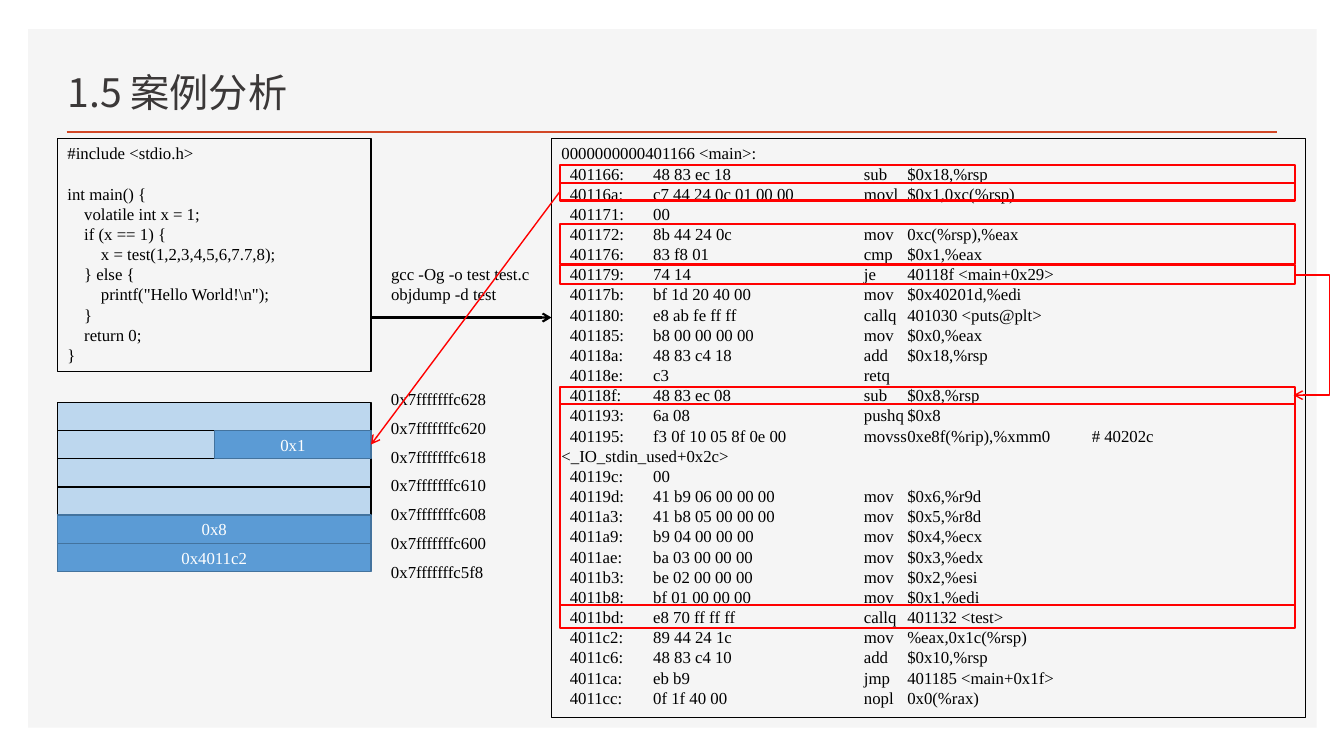
import pptx
import pptx.util
from lxml import etree
from pptx.dml.color import RGBColor
from pptx.enum.shapes import MSO_CONNECTOR, MSO_SHAPE
from pptx.enum.text import MSO_ANCHOR, MSO_AUTO_SIZE, PP_ALIGN
from pptx.oxml.ns import qn
from pptx.util import Inches, Pt

THEME = {
    "panel": "F5F5F5", "rule": "D24726", "title": "3B3838", "ink": "000000",
    "free": "BDD7EE", "used": "5B9BD5", "used_edge": "43739E",
    "white": "FFFFFF", "mark": "FF0000",
    "title_font": "Noto Sans CJK SC", "code_font": "Times New Roman",
    "title_size": 28, "code_size": 12, "code_pitch": 14.4,
}

C_SOURCE = r"""#include <stdio.h>

int main() {
    volatile int x = 1;
    if (x == 1) {
        x = test(1,2,3,4,5,6,7.7,8);
    } else {
        printf("Hello World!\n");
    }
    return 0;
}"""

# address, bytes, mnemonic, operands, comment
ASSEMBLY = [
    ("0000000000401166 <main>:",),
    ("  401166:", "48 83 ec 18", "sub", "$0x18,%rsp"),
    ("  40116a:", "c7 44 24 0c 01 00 00", "movl", "$0x1,0xc(%rsp)"),
    ("  401171:", "00"),
    ("  401172:", "8b 44 24 0c", "mov", "0xc(%rsp),%eax"),
    ("  401176:", "83 f8 01", "cmp", "$0x1,%eax"),
    ("  401179:", "74 14", "je", "40118f <main+0x29>"),
    ("  40117b:", "bf 1d 20 40 00", "mov", "$0x40201d,%edi"),
    ("  401180:", "e8 ab fe ff ff", "callq", "401030 <puts@plt>"),
    ("  401185:", "b8 00 00 00 00", "mov", "$0x0,%eax"),
    ("  40118a:", "48 83 c4 18", "add", "$0x18,%rsp"),
    ("  40118e:", "c3", "retq"),
    ("  40118f:", "48 83 ec 08", "sub", "$0x8,%rsp"),
    ("  401193:", "6a 08", "pushq", "$0x8"),
    ("  401195:", "f3 0f 10 05 8f 0e 00", "movss", "0xe8f(%rip),%xmm0",
     "# 40202c <_IO_stdin_used+0x2c>"),
    ("  40119c:", "00"),
    ("  40119d:", "41 b9 06 00 00 00", "mov", "$0x6,%r9d"),
    ("  4011a3:", "41 b8 05 00 00 00", "mov", "$0x5,%r8d"),
    ("  4011a9:", "b9 04 00 00 00", "mov", "$0x4,%ecx"),
    ("  4011ae:", "ba 03 00 00 00", "mov", "$0x3,%edx"),
    ("  4011b3:", "be 02 00 00 00", "mov", "$0x2,%esi"),
    ("  4011b8:", "bf 01 00 00 00", "mov", "$0x1,%edi"),
    ("  4011bd:", "e8 70 ff ff ff", "callq", "401132 <test>"),
    ("  4011c2:", "89 44 24 1c", "mov", "%eax,0x1c(%rsp)"),
    ("  4011c6:", "48 83 c4 10", "add", "$0x10,%rsp"),
    ("  4011ca:", "eb b9", "jmp", "401185 <main+0x1f>"),
    ("  4011cc:", "0f 1f 40 00", "nopl", "0x0(%rax)"),
]
ASSEMBLY_TABS = [0.91, 3.0, 3.43, 5.26]


def add_box(box, text="", fill=None, edge=None, width=0.75, color="ink",
            align=PP_ALIGN.LEFT, anchor=MSO_ANCHOR.TOP, tabs=()):
    """Add a rectangle; a blank line in text becomes space before the next one."""
    sp = s.shapes.add_shape(MSO_SHAPE.RECTANGLE, *map(Inches, box))
    sp.shadow.inherit = False
    if fill:
        sp.fill.solid()
        sp.fill.fore_color.rgb = RGBColor.from_string(THEME[fill])
    else:
        sp.fill.background()
    if edge:
        sp.line.color.rgb = RGBColor.from_string(THEME[edge])
        sp.line.width = Pt(width)
    else:
        sp.line.fill.background()
    tf = sp.text_frame
    frame_format = {"word_wrap": True, "auto_size": MSO_AUTO_SIZE.NONE,
                    "vertical_anchor": anchor}
    for name, value in frame_format.items():
        setattr(tf, name, value)
    p, gap = tf.paragraphs[0], 0
    for i, line in enumerate(text.split("\n") if text else []):
        if not line:
            gap += THEME["code_pitch"]
            continue
        if i:
            p = tf.add_paragraph()
        p.alignment = align
        p.line_spacing = Pt(THEME["code_pitch"])
        if gap:
            p.space_before = Pt(gap)
            gap = 0
        if tabs:
            tab_list = etree.SubElement(p._p.get_or_add_pPr(), qn("a:tabLst"))
            for pos in tabs:
                etree.SubElement(tab_list, qn("a:tab"), pos=str(Inches(pos)), algn="l")
        r = p.add_run()
        r.text = line
        r.font.name = THEME["code_font"]
        r.font.size = Pt(THEME["code_size"])
        r.font.color.rgb = RGBColor.from_string(THEME[color])
    return sp


def add_line(start, end, color, width, arrow=True, kind=MSO_CONNECTOR.STRAIGHT):
    cx = s.shapes.add_connector(kind, *map(Inches, start + end))
    cx.line.color.rgb = RGBColor.from_string(THEME[color])
    cx.line.width = Pt(width)
    if arrow:
        etree.SubElement(cx.line._get_or_add_ln(), qn("a:tailEnd"), type="arrow")
    etree.SubElement(cx._element.spPr, qn("a:effectLst"))
    return cx


prs = pptx.Presentation()
prs.slide_width, prs.slide_height = Inches(13.33), Inches(7.5)
s = prs.slides.add_slide(prs.slide_layouts[5])

# Title on its panel
title = s.shapes.title
panel = add_box((0.28, 0.29, 12.78, 6.93), fill="panel")
title._element.addprevious(panel._element)
placement = {"left": 0.57, "top": 0.49, "width": 7.52, "height": 0.7}
for name, value in placement.items():
    setattr(title, name, Inches(value))
tf = title.text_frame
tf.vertical_anchor = MSO_ANCHOR.BOTTOM
p = tf.paragraphs[0]
p.alignment = PP_ALIGN.LEFT
r = p.add_run()
r.text = "1.5 案例分析"
r.font.name = THEME["title_font"]
r.font.size = Pt(THEME["title_size"])
r.font.color.rgb = RGBColor.from_string(THEME["title"])
etree.SubElement(r.font._element, qn("a:ea"), typeface=THEME["title_font"])
add_line((0.66, 1.31), (12.67, 1.31), "rule", 2, arrow=False)

# Source, build commands and disassembly
add_box((0.57, 1.37, 3.11, 2.32), C_SOURCE, edge="ink")
add_box((5.47, 1.37, 7.48, 5.75), "\n".join(map("\t".join, ASSEMBLY)),
        edge="ink", tabs=ASSEMBLY_TABS)
add_box((3.78, 2.57, 1.65, 0.5), "gcc -Og -o test test.c\nobjdump -d test")
add_line((3.68, 3.15), (5.47, 3.15), "ink", 1.5)

# Stack frame with the addresses of its cell edges
used = {"fill": "used", "edge": "used_edge", "width": 1, "color": "white",
        "align": PP_ALIGN.CENTER, "anchor": MSO_ANCHOR.MIDDLE}
free = {"fill": "free", "edge": "ink", "width": 1}
for i, value in enumerate(["", "", "", "", "0x8", "0x4011c2"]):
    add_box((0.57, 3.99 + 0.28 * i, 3.11, 0.28), value, **(used if value else free))
x_cell = add_box((2.13, 4.27, 1.55, 0.28), "0x1", **used)
for i, low in enumerate(["628", "620", "618", "610", "608", "600", "5f8"]):
    add_box((3.78, 3.81 + 0.57 * i / 2, 1.16, 0.3), "0x7fffffffc" + low)

# Highlighted instructions: top and height
highlights = {"prologue": (1.64, 0.18), "store x": (1.82, 0.17), "compare": (2.22, 0.4),
              "branch": (2.63, 0.19), "target": (3.84, 0.17),
              "arguments": (4.01, 1.99), "call": (6.0, 0.23)}
marks = {name: add_box((5.55, top, 7.29, height), edge="mark", width=1.5)
         for name, (top, height) in highlights.items()}

store = add_line((5.55, 1.91), (3.68, 4.41), "mark", 1)
store.begin_connect(marks["store x"], 1)
store.end_connect(x_cell, 3)

jump = add_line((12.84, 2.73), (12.83, 3.92), "mark", 1, kind=MSO_CONNECTOR.ELBOW)
bend = jump._element.spPr.find(qn("a:prstGeom")).find(qn("a:avLst"))
etree.SubElement(bend, qn("a:gd"), name="adj1", fmla="val -3500000")

prs.save("out.pptx")
